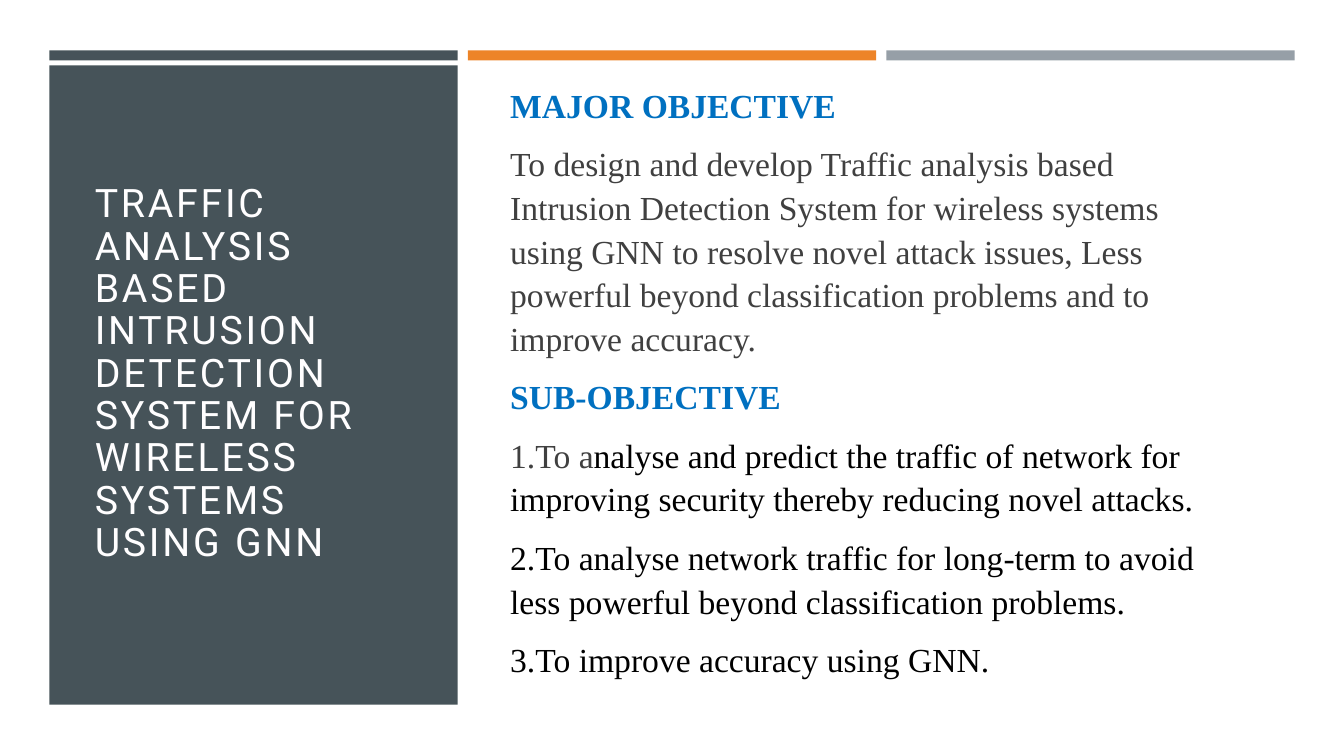
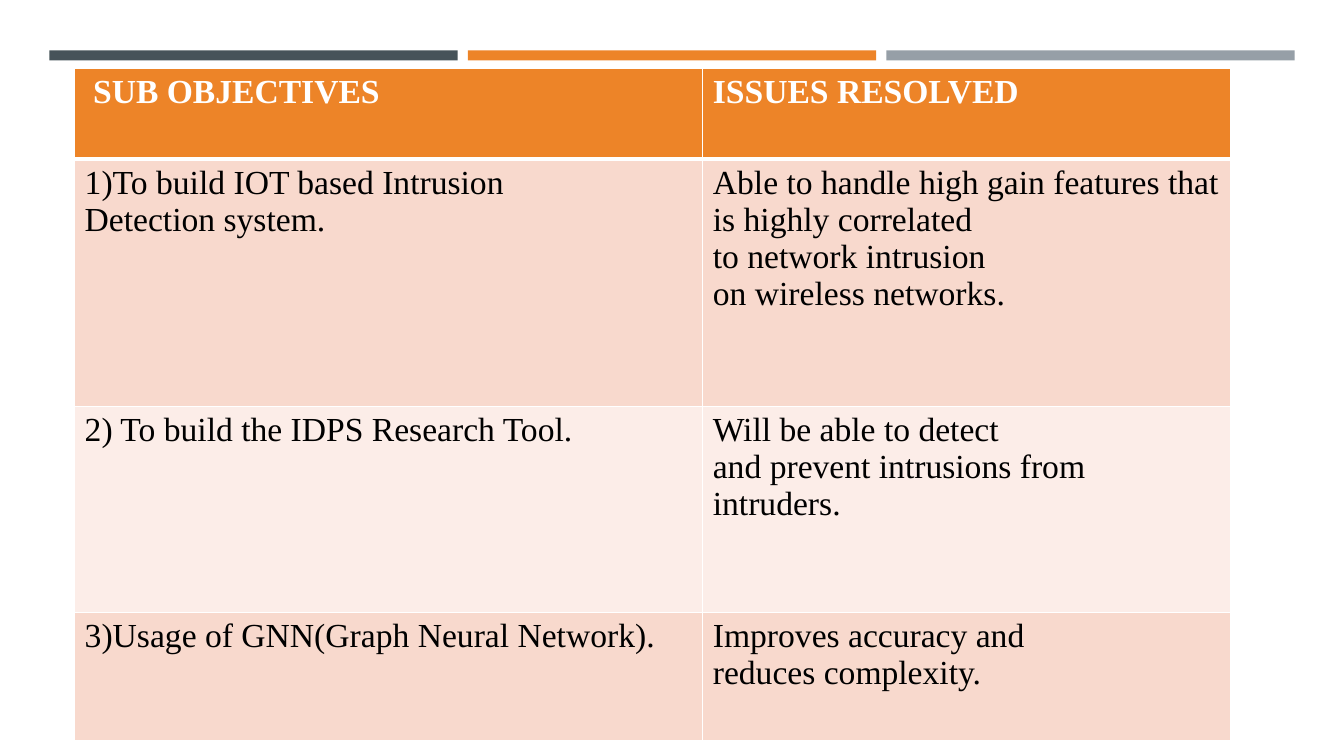
from lxml.etree import SubElement as Sub
from pptx import Presentation
from pptx.dml.color import RGBColor
from pptx.enum.shapes import MSO_SHAPE as Shape
from pptx.enum.text import MSO_ANCHOR as Anchor, MSO_AUTO_SIZE as Fit, PP_ALIGN as Align
from pptx.oxml.ns import qn
from pptx.util import Inches, Pt

SLATE, ORANGE, GREY = "465359", "ED8428", "969FA7"
WHITE, BLACK, BLUE, DARK = "FFFFFF", "000000", "0070C0", "404040"
ROSE, PALE = "F8D9CD", "FCEDE8"
SERIF = "Times New Roman"
LEFT, TOP, WIDE, STEP = 0.49, 0.5, 4.05, 4.15

GOALS = [
    [("MAJOR OBJECTIVE", BLUE)],
    [("To design and develop Traffic analysis based Intrusion Detection System "
      "for wireless systems using GNN to resolve novel attack issues, Less "
      "powerful beyond classification problems and to improve accuracy.", DARK)],
    [("SUB-OBJECTIVE", BLUE)],
    [("1.To a", DARK),
     ("nalyse and predict the traffic of network for improving security "
      "thereby reducing novel attacks.", BLACK)],
    [("2.To analyse network traffic for long-term to avoid less powerful "
      "beyond classification problems.", BLACK)],
    [("3.To improve accuracy using GNN.", BLACK)],
]

HARD = "~"
ROWS = [
    ("~SUB OBJECTIVES", "ISSUES RESOLVED"),
    ("1)To build IOT based Intrusion Detection~system.",
     "Able to handle high gain features~that is highly~correlated "
     "to~network~intrusion on~wireless~networks."),
    ("2) To~build the IDPS Research Tool.",
     "Will be able~to detect~ and~prevent~intrusions from intruders."),
    ("3)Usage of GNN(Graph Neural~Network).",
     "Improves accuracy and reduces~complexity."),
]


def paint(tone):
    return RGBColor.from_string(tone)


def style(font, size, tone, face=SERIF, bold=False):
    font.name, font.size, font.bold = face, Pt(size), bold
    font.color.rgb = paint(tone)


def place(item, x, y, w, h):
    item.left, item.top, item.width, item.height = map(Inches, (x, y, w, h))


def block(slide, x, y, w, h, tone):
    box = slide.shapes.add_shape(Shape.RECTANGLE, *map(Inches, (x, y, w, h)))
    box.shadow.inherit = False
    box.fill.solid()
    box.fill.fore_color.rgb = paint(tone)
    box.line.fill.background()
    box.element.getparent().insert(2, box.element)


def bands(slide):
    for col, tone in enumerate((SLATE, ORANGE, GREY)):
        block(slide, LEFT + col * STEP, TOP, WIDE, 0.1, tone)


def frame(item, *spot):
    place(item, *spot)
    text = item.text_frame
    text.word_wrap, text.auto_size = True, Fit.NONE
    text.vertical_anchor = Anchor.MIDDLE
    return text


def title(slide, words):
    text = frame(slide.shapes.title, 0.84, 1.14, 3.34, 5.15)
    text.text = words
    para = text.paragraphs[0]
    para.alignment, para.line_spacing = Align.LEFT, 0.9
    style(para.font, 28, "FFFEFF", "Roboto")
    for run in para.runs:
        run.font._element.set("spc", "200")


def body(slide, paras):
    text = frame(slide.placeholders[1], 4.96, 1.14, 7.36, 5.27)
    for num, parts in enumerate(paras):
        para = text.add_paragraph() if num else text.paragraphs[0]
        para.line_spacing = 1.08
        para.space_before, para.space_after = Pt(4.8), Pt(6)
        props = para._p.get_or_add_pPr()
        props.set("marL", "0")
        props.set("indent", "0")
        Sub(props, qn("a:buNone"))
        style(para.font, 24, parts[0][1], bold=parts[0][1] == BLUE)
        for words, tone in parts:
            run = para.add_run()
            run.text = words
            run.font.color.rgb = paint(tone)


def edge(cell, side, width):
    line = Sub(cell._tc.get_or_add_tcPr(), qn("a:ln" + side), w=str(Pt(width)))
    Sub(Sub(line, qn("a:solidFill")), qn("a:srgbClr"), val=WHITE)


def fill(cell, words, row):
    head = row == 0
    for side in "LRTB":
        thick = (head and side == "B") or (row == 1 and side == "T")
        edge(cell, side, 3 if thick else 1)
    cell.fill.solid()
    cell.fill.fore_color.rgb = paint(ORANGE if head else ROSE if row % 2 else PALE)
    cell.text = words.replace(HARD, chr(160))
    style(cell.text_frame.paragraphs[0].font, 24, WHITE if head else BLACK, bold=head)


def table(slide, rows, cols, highs):
    spot = map(Inches, (0.74, 0.68, sum(cols), sum(highs)))
    grid = slide.shapes.add_table(len(rows), len(cols), *spot).table
    for col, wide in zip(grid.columns, cols):
        col.width = Inches(wide)
    for num, (row, high) in enumerate(zip(grid.rows, highs)):
        row.height = Inches(high)
        for cell, words in zip(row.cells, rows[num]):
            fill(cell, words, num)


def main():
    deck = Presentation()
    deck.slide_width, deck.slide_height = Inches(13.33), Inches(7.5)

    aims = deck.slides.add_slide(deck.slide_layouts[1])
    bands(aims)
    block(aims, LEFT, 0.65, WIDE, 6.34, SLATE)
    title(aims, "TRAFFIC ANALYSIS BASED INTRUSION DETECTION SYSTEM FOR "
                "WIRELESS SYSTEMS USING GNN")
    body(aims, GOALS)

    fixes = deck.slides.add_slide(deck.slide_layouts[6])
    bands(fixes)
    table(fixes, ROWS, (6.23, 5.24), (0.9, 2.45, 2.05, 1.27))
    deck.save("out.pptx")


if __name__ == "__main__":
    main()
